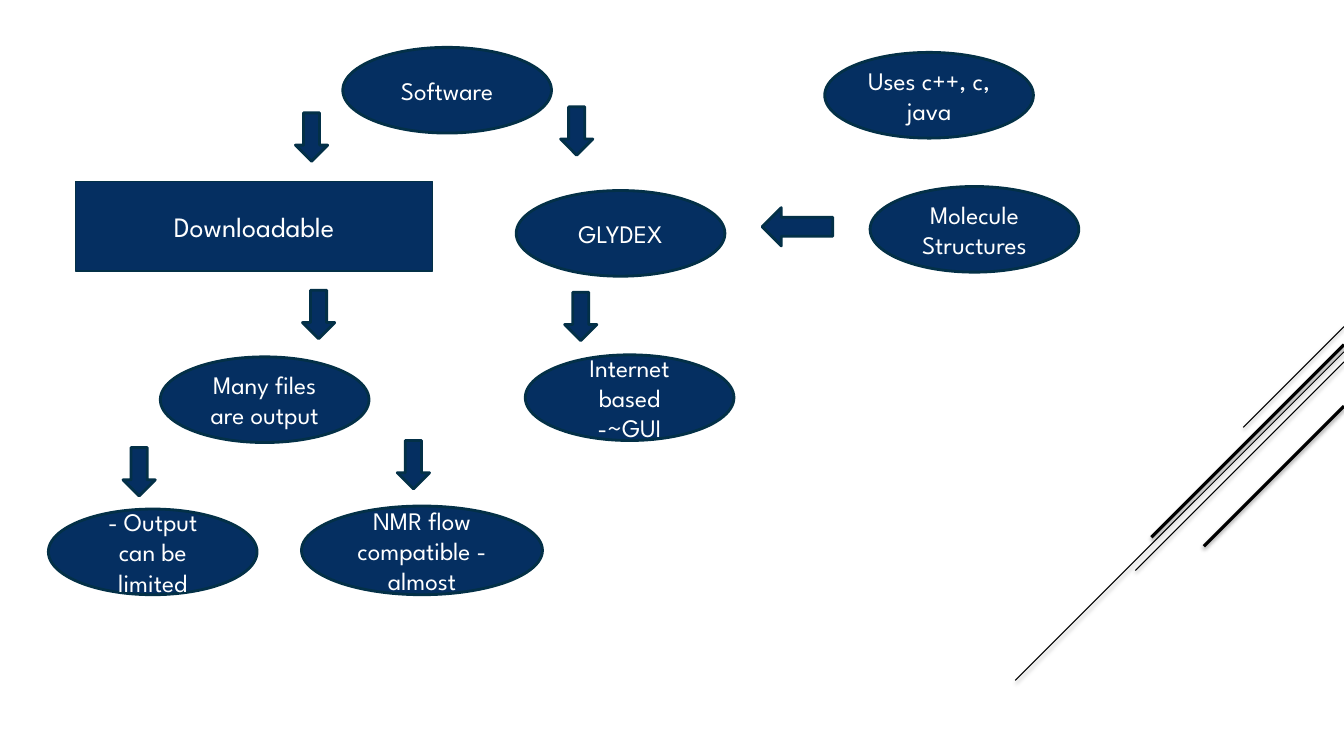
from lxml.etree import SubElement
from pptx import Presentation
from pptx.dml.color import RGBColor
from pptx.enum.shapes import MSO_CONNECTOR, MSO_SHAPE
from pptx.enum.text import MSO_ANCHOR, MSO_AUTO_SIZE, PP_ALIGN
from pptx.oxml.ns import qn
from pptx.util import Pt

PX = 9144  # 100 px to the inch
SLIDE_WIDTH, SLIDE_HEIGHT = 1333, 750
COLORS = {"navy": "052F61", "outline": "033047", "text": "FFFFFF", "stripe": "000000"}
FONT = "League Spartan"


def paint(shape, line_width):
    shape.shadow.inherit = False
    shape.fill.solid()
    shape.fill.fore_color.rgb = RGBColor.from_string(COLORS["navy"])
    shape.line.color.rgb = RGBColor.from_string(COLORS["outline"])
    shape.line.width = Pt(line_width)


def write(shape, text, size):
    frame = shape.text_frame
    frame.text = text
    frame.word_wrap = True
    frame.auto_size = MSO_AUTO_SIZE.NONE
    frame.vertical_anchor = MSO_ANCHOR.MIDDLE
    paragraph = frame.paragraphs[0]
    paragraph.alignment = PP_ALIGN.CENTER
    paragraph.font.name = FONT
    paragraph.font.size = Pt(size)
    paragraph.font.color.rgb = RGBColor.from_string(COLORS["text"])
    return paragraph


prs = Presentation()
prs.slide_width, prs.slide_height = SLIDE_WIDTH * PX, SLIDE_HEIGHT * PX
slide = prs.slides.add_slide(prs.slide_layouts[5])
shapes = slide.shapes

# Diagonal stripes at 45 degrees, all starting at the right edge: top, run, weight
stripes = [
    (324, 100, 0.75),
    (349, 326, 0.75),
    (359, 207, 0.75),
    (342, 191, 2.25),
    (403, 139, 2.25),
]
for top, run, weight in stripes:
    stripe = shapes.add_connector(
        MSO_CONNECTOR.STRAIGHT,
        SLIDE_WIDTH * PX, top * PX, (SLIDE_WIDTH - run) * PX, (top + run) * PX,
    )
    stripe.line.color.rgb = RGBColor.from_string(COLORS["stripe"])
    stripe.line.width = Pt(weight)
    effects = SubElement(stripe._element.spPr, qn("a:effectLst"))
    shadow = SubElement(effects, qn("a:outerShdw"), blurRad=str(Pt(3.1)),
                        dist=str(Pt(1.6)), dir="5400000", rotWithShape="0")
    shadow_color = SubElement(shadow, qn("a:srgbClr"), val=COLORS["stripe"])
    SubElement(shadow_color, qn("a:alpha"), val="38000")

downloadable = shapes.title
downloadable.left, downloadable.top = 75 * PX, 180 * PX
downloadable.width, downloadable.height = 354 * PX, 89 * PX
paint(downloadable, 1.25)
heading = write(downloadable, "Downloadable", 20)
heading.space_before, heading.space_after = Pt(4), Pt(6)

BUBBLE = (207, 85)
bubbles = [
    ("Software", 340, 47, BUBBLE),
    ("GLYDEX", 512, 189, BUBBLE),
    ("Many files are output", 159, 354, BUBBLE),
    ("Internet based -~GUI", 521, 352, BUBBLE),
    ("Uses c++, c, java", 818, 52, BUBBLE),
    ("Molecule Structures", 863, 185, BUBBLE),
    ("- Output can be limited", 48, 505, BUBBLE),
    ("NMR flow compatible - almost", 299, 502, (239, 88)),
]
for text, left, top, (width, height) in bubbles:
    bubble = shapes.add_shape(MSO_SHAPE.OVAL, left * PX, top * PX, width * PX, height * PX)
    paint(bubble, 2)
    write(bubble, text, 18)

DOWN = (MSO_SHAPE.DOWN_ARROW, 32, 48)
LEFT = (MSO_SHAPE.LEFT_ARROW, 70, 38)
arrows = [
    (293, 112, DOWN),
    (556, 106, DOWN),
    (300, 288, DOWN),
    (560, 290, DOWN),
    (756, 206, LEFT),
    (122, 444, DOWN),
    (394, 437, DOWN),
]
for left, top, (kind, width, height) in arrows:
    arrow = shapes.add_shape(kind, left * PX, top * PX, width * PX, height * PX)
    paint(arrow, 2)

prs.save("out.pptx")
